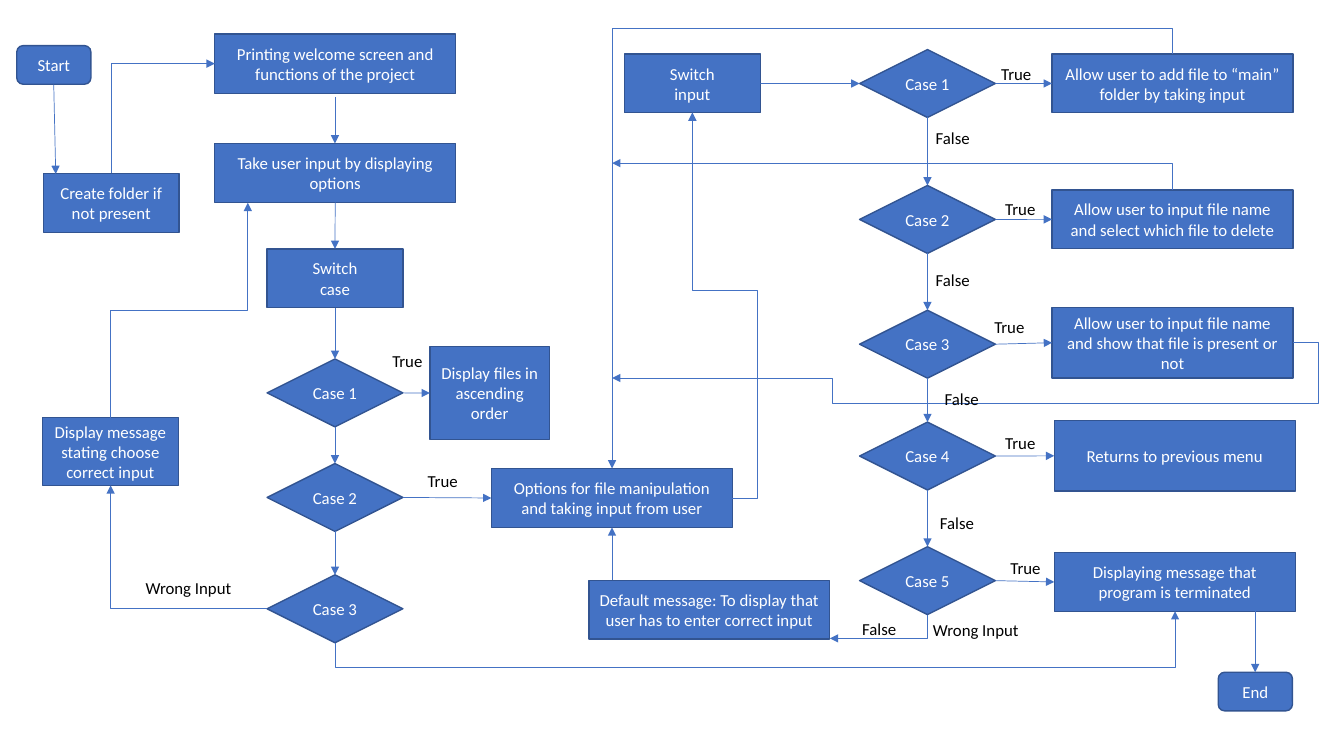
from math import cos, sin, radians
from lxml import etree
from pptx import Presentation
from pptx.dml.color import RGBColor
from pptx.enum.shapes import MSO_CONNECTOR, MSO_SHAPE
from pptx.enum.text import MSO_ANCHOR, PP_ALIGN
from pptx.oxml.ns import qn
from pptx.util import Pt

RECT = MSO_SHAPE.RECTANGLE
ROUND = MSO_SHAPE.ROUNDED_RECTANGLE
CASE = MSO_SHAPE.FLOWCHART_DECISION
STRAIGHT = MSO_CONNECTOR.STRAIGHT
ELBOW = MSO_CONNECTOR.ELBOW
MIDDLE = MSO_ANCHOR.MIDDLE
CENTER = PP_ALIGN.CENTER
TOP, LEFT, BOTTOM, RIGHT = range(4)
BLUE = RGBColor.from_string("4472C4")
NAVY = RGBColor.from_string("325491")
WHITE = RGBColor.from_string("FFFFFF")
BLACK = RGBColor.from_string("000000")

deck = Presentation()
deck.slide_width, deck.slide_height = Pt(960), Pt(540)
slide = deck.slides.add_slide(deck.slide_layouts[6])
shapes = slide.shapes


def write(shape, text, color):
    frame = shape.text_frame
    frame.word_wrap = True
    for i, line in enumerate(text.split("\n")):
        para = frame.add_paragraph() if i else frame.paragraphs[0]
        para.alignment = CENTER
        run = para.add_run()
        run.text = line
        run.font.name = "Calibri"
        run.font.size = Pt(12)
        run.font.color.rgb = color


def arrow(kind, x1, y1, x2, y2):
    link = shapes.add_connector(kind, Pt(x1), Pt(y1), Pt(x2), Pt(y2))
    link.line.color.rgb = BLUE
    link.line.width = Pt(0.5)
    props = link.element.spPr
    etree.SubElement(props.find(qn("a:ln")), qn("a:tailEnd"), type="triangle")
    etree.SubElement(props, qn("a:effectLst"))
    return link


wide, slim, tall = 172.1, 97, 42
nodes = [
    ("start", ROUND, 12, 32.6, 53, 27.6, "Start"),
    ("folder", RECT, 31, 123.9, slim, tall, "Create folder if not present"),
    ("welcome", RECT, 153.4, 24.4, wide, 42.5,
     "Printing welcome screen and functions of the project"),
    ("take", RECT, 153.4, 102.5, wide, tall,
     "Take user input by displaying options"),
    ("switch", RECT, 190.8, 177.8, slim, tall, "Switch\ncase"),
    ("wrong", RECT, 30.4, 298.4, slim, 48.3,
     "Display message stating choose correct input"),
    ("files", RECT, 307.1, 247.5, 85.3, 66.5,
     "Display files in ascending order"),
    ("options", RECT, 351, 334.7, wide, tall,
     "Options for file manipulation and taking input from user"),
    ("input", RECT, 446.1, 38.6, slim, tall, "Switch\ninput"),
    ("default", RECT, 420.6, 414.6, wide, tall,
     "Default message: To display that user has to enter correct input"),
    ("act1", RECT, 751.5, 38.6, wide, tall,
     "Allow user to add file to “main” folder by taking input"),
    ("act2", RECT, 751.5, 135.7, wide, tall,
     "Allow user to input file name and select which file to delete"),
    ("act3", RECT, 751.5, 219.6, wide, 50.4,
     "Allow user to input file name and show that file is present or not"),
    ("act4", RECT, 753.1, 300.4, wide, 50.4, "Returns to previous menu"),
    ("act5", RECT, 753.1, 394.7, wide, tall,
     "Displaying message that program is terminated"),
    ("end", ROUND, 870.2, 480.2, 53, 27.6, "End"),
]
for side, x, tops in (("menu", 190.8, (256.4, 331.1, 410.6)),
                      ("sub", 614, (35.4, 132.5, 221.6, 301.5, 390.5))):
    for i, y in enumerate(tops, 1):
        nodes.append((f"{side}{i}", CASE, x, y, slim, 48.5, f"Case {i}"))

box = {}
for name, form, x, y, w, h, text in nodes:
    node = shapes.add_shape(form, Pt(x), Pt(y), Pt(w), Pt(h))
    node.shadow.inherit = False
    node.fill.solid()
    node.fill.fore_color.rgb = BLUE
    node.line.color.rgb = NAVY
    node.line.width = Pt(1)
    node.text_frame.vertical_anchor = MIDDLE
    write(node, text, WHITE)
    box[name] = node

down = [("take", "switch"), ("switch", "menu1"), ("menu1", "menu2"),
        ("menu2", "menu3")]
down += [(f"sub{i}", f"sub{i + 1}") for i in range(1, 5)]
across = [("menu1", "files"), ("menu2", "options"), ("input", "sub1")]
across += [(f"sub{i}", f"act{i}") for i in range(1, 6)]
for pairs, out, into in ((down, BOTTOM, TOP), (across, RIGHT, LEFT)):
    for head, tail in pairs:
        link = arrow(STRAIGHT, 0, 0, 0, 0)
        link.begin_connect(box[head], out)
        link.end_connect(box[tail], into)

for ends in ((38.4, 60.4, 39.8, 124.3), (239.3, 69.3, 239.3, 102.5),
             (896.6, 436.6, 896.6, 480.2), (437.2, 414.6, 437.2, 376.7)):
    arrow(STRAIGHT, *ends)

bends = [
    (79.5, 123.9, 153.4, 45.5, 90, 2, ()),
    (190.8, 434.8, 79, 346.7, 180, 2, ()),
    (523.1, 355.7, 494.6, 80.4, 0, 4, (-0.63, 0.538)),
    (837.6, 38.6, 437.2, 334.7, 270, 3, (-0.061,)),
    (79, 298.4, 177, 144.8, 90, 3, (0.5,)),
    (239.3, 459, 839.3, 436.6, 90, 3, (-0.795,)),
    (662.5, 439, 592.7, 456, 90, 2, ()),
    (923.6, 244.8, 437.2, 270, 0, 5, (-0.037, 1.713, 0.677)),
    (837.6, 135.7, 437.2, 116.6, 270, 2, ()),
]
for x1, y1, x2, y2, turn, size, bars in bends:
    mx, my, dx, dy = (x1 + x2) / 2, (y1 + y2) / 2, (x2 - x1) / 2, (y2 - y1) / 2
    c, s = round(cos(radians(turn))), round(sin(radians(turn)))
    hx, hy = c * dx + s * dy, c * dy - s * dx
    link = arrow(ELBOW, mx - hx, my - hy, mx + hx, my + hy)
    link.rotation = turn
    geom = link.element.spPr.find(qn("a:prstGeom"))
    geom.set("prst", f"bentConnector{size}")
    for i, bar in enumerate(bars, 1):
        etree.SubElement(geom.find(qn("a:avLst")), qn("a:gd"),
                         name=f"adj{i}", fmla=f"val {round(bar * 100000)}")

labels = {
    "True": (42, [(270, 247), (295.2, 332.8), (704.9, 42), (707.8, 138.4),
                  (700, 222.6), (707.8, 305.8), (711.5, 394.9)]),
    "False": (42, [(659.5, 87.4), (659.5, 189), (666, 274.3), (662.6, 363),
                   (607, 438.5)]),
    "Wrong Input": (82, [(93.6, 409), (656, 438.8)]),
}
for text, (w, spots) in labels.items():
    for x, y in spots:
        label = shapes.add_textbox(Pt(x), Pt(y), Pt(w), Pt(21.8))
        write(label, text, BLACK)

deck.save("out.pptx")
